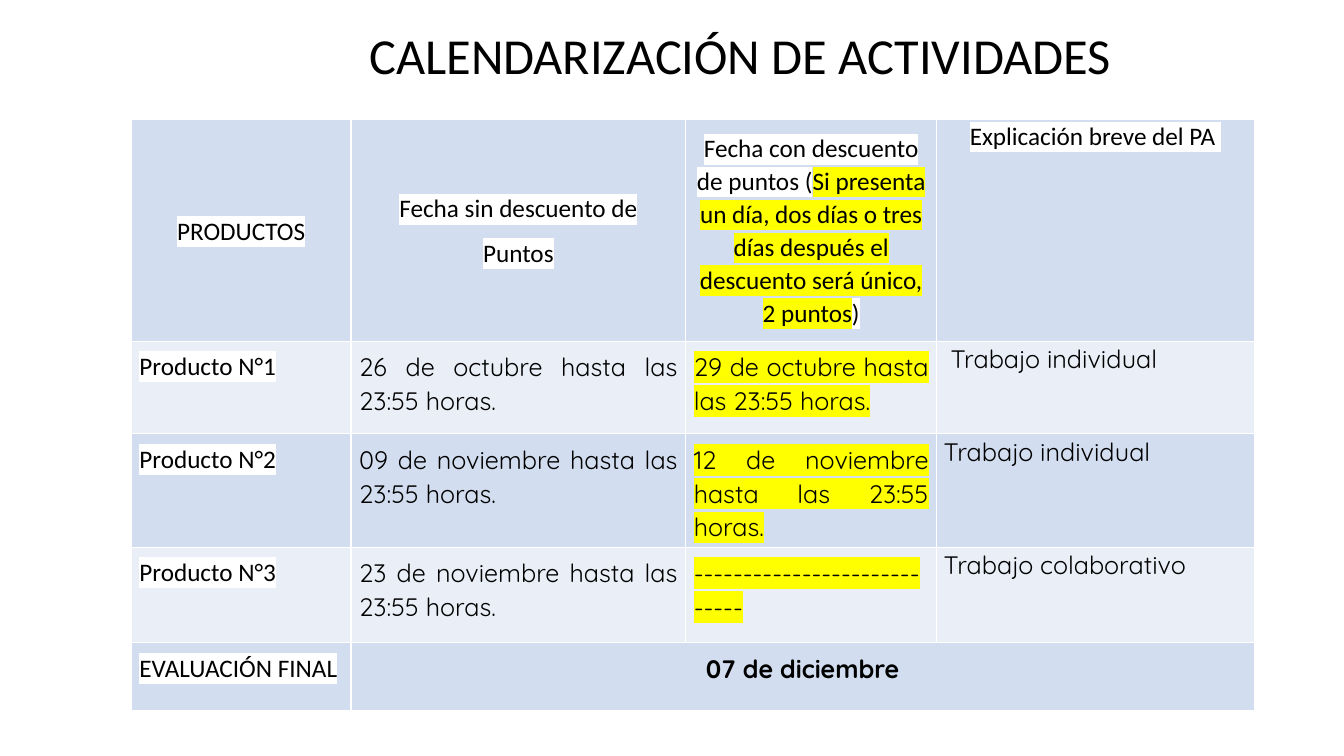
from lxml import etree
from pptx import Presentation
from pptx.dml.color import RGBColor
from pptx.enum.text import MSO_ANCHOR, PP_ALIGN
from pptx.oxml.ns import qn
from pptx.util import Pt

BLACK = RGBColor(0x00, 0x00, 0x00)
WHITE = RGBColor(0xFF, 0xFF, 0xFF)
YELLOW = RGBColor(0xFF, 0xFF, 0x00)
BAND_FILLS = [RGBColor(0xD2, 0xDE, 0xEF), RGBColor(0xEA, 0xEF, 0xF7)]
CENTER, JUSTIFY = PP_ALIGN.CENTER, PP_ALIGN.JUSTIFY
MIDDLE, TOP = MSO_ANCHOR.MIDDLE, MSO_ANCHOR.TOP

COLUMN_WIDTHS = [157, 239, 179.3, 226.8]
ROW_HEIGHTS = [158.4, 66.2, 66.2, 68.4, 48.2]

# Each cell is a list of paragraphs; each paragraph is a list of (text, highlight).
ROWS = [
    [
        [[("PRODUCTOS", WHITE)]],
        [[("Fecha sin descuento de", WHITE)], [("Puntos", WHITE)]],
        [[("Fecha con descuento de puntos (", WHITE),
          ("Si presenta un día, dos días o tres días después el "
           "descuento será único, 2 puntos", YELLOW),
          (")", WHITE)]],
        [[("Explicación breve del PA ", WHITE)]],
    ],
    [
        [[("Producto N°1", WHITE)]],
        [[("26 de octubre hasta las 23:55 horas.", None)]],
        [[("29 de octubre hasta las 23:55 horas.", YELLOW)]],
        [[(" Trabajo individual", None)]],
    ],
    [
        [[("Producto N°2", WHITE)]],
        [[("09 de noviembre hasta las 23:55 horas.", None)]],
        [[("12 de noviembre", YELLOW), (" ", None),
          ("hasta las 23:55 horas.", YELLOW)]],
        [[("Trabajo individual", None)]],
    ],
    [
        [[("Producto N°3", WHITE)]],
        [[("23 de noviembre hasta las 23:55 horas.", None)]],
        [[("-" * 28, YELLOW)]],
        [[("Trabajo colaborativo", None)]],
    ],
    [
        [[("EVALUACIÓN FINAL", WHITE)]],
        [[("07 de diciembre", None)]],
    ],
]


def add_color(parent, tag, color):
    """Append a DrawingML element holding one solid RGB colour."""
    holder = etree.SubElement(parent, qn(tag))
    etree.SubElement(holder, qn("a:srgbClr"), val=str(color))


def add_borders(cell):
    properties = cell._tc.get_or_add_tcPr()
    for position, side in enumerate(["a:lnL", "a:lnR", "a:lnT", "a:lnB"]):
        line = etree.Element(qn(side), w=str(Pt(1)))
        add_color(line, "a:solidFill", WHITE)
        properties.insert(position, line)


deck = Presentation()
deck.slide_width, deck.slide_height = Pt(960), Pt(540)
page = deck.slides.add_slide(deck.slide_layouts[6])

title_box = page.shapes.add_textbox(Pt(156.2), Pt(10), Pt(745.2), Pt(63.4))
title_box.text_frame.word_wrap = True
title_box.text_frame.vertical_anchor = MIDDLE
title = title_box.text_frame.paragraphs[0]
title.text = "CALENDARIZACIÓN DE ACTIVIDADES"
title.alignment = CENTER
title.line_spacing = 0.9
title.font.name, title.font.size = "Calibri", Pt(36)
title.font.color.rgb = BLACK

table = page.shapes.add_table(
    len(ROW_HEIGHTS), len(COLUMN_WIDTHS), Pt(93.8), Pt(85.3),
    Pt(sum(COLUMN_WIDTHS)), Pt(sum(ROW_HEIGHTS))).table
table.first_row = table.horz_banding = False
for column, width in zip(table.columns, COLUMN_WIDTHS):
    column.width = Pt(width)
for row, height in zip(table.rows, ROW_HEIGHTS):
    row.height = Pt(height)

last_row = len(ROWS) - 1
table.cell(last_row, 1).merge(table.cell(last_row, 3))

for row_index, row in enumerate(table.rows):
    for cell in row.cells:
        cell.fill.solid()
        cell.fill.fore_color.rgb = BAND_FILLS[row_index % 2]
        add_borders(cell)

for row_index, row in enumerate(ROWS):
    for column_index, paragraphs in enumerate(row):
        cell = table.cell(row_index, column_index)
        is_header = row_index == 0
        is_final_date = row_index == last_row and column_index == 1
        is_explanation = column_index == 3
        cell.margin_left = cell.margin_right = Pt(5 if is_explanation else 5.8)
        cell.margin_top = cell.margin_bottom = Pt(0 if is_explanation else 5.8)
        cell.vertical_anchor = MIDDLE if is_header and not is_explanation else TOP

        for index, spans in enumerate(paragraphs):
            frame = cell.text_frame
            para = frame.add_paragraph() if index else frame.paragraphs[0]
            para.alignment = CENTER if is_header or is_final_date else JUSTIFY
            para.line_spacing = 1.07
            para.space_after = Pt(8)
            para.font.name = "Calibri" if is_header or column_index == 0 else "Quicksand"
            para.font.size = Pt(18)
            para.font.bold = is_final_date
            para.font.color.rgb = BLACK
            for text, highlight in spans:
                span = para.add_run()
                span.text = text
                if highlight is not None:
                    add_color(span._r.get_or_add_rPr(), "a:highlight", highlight)

deck.save("out.pptx")
